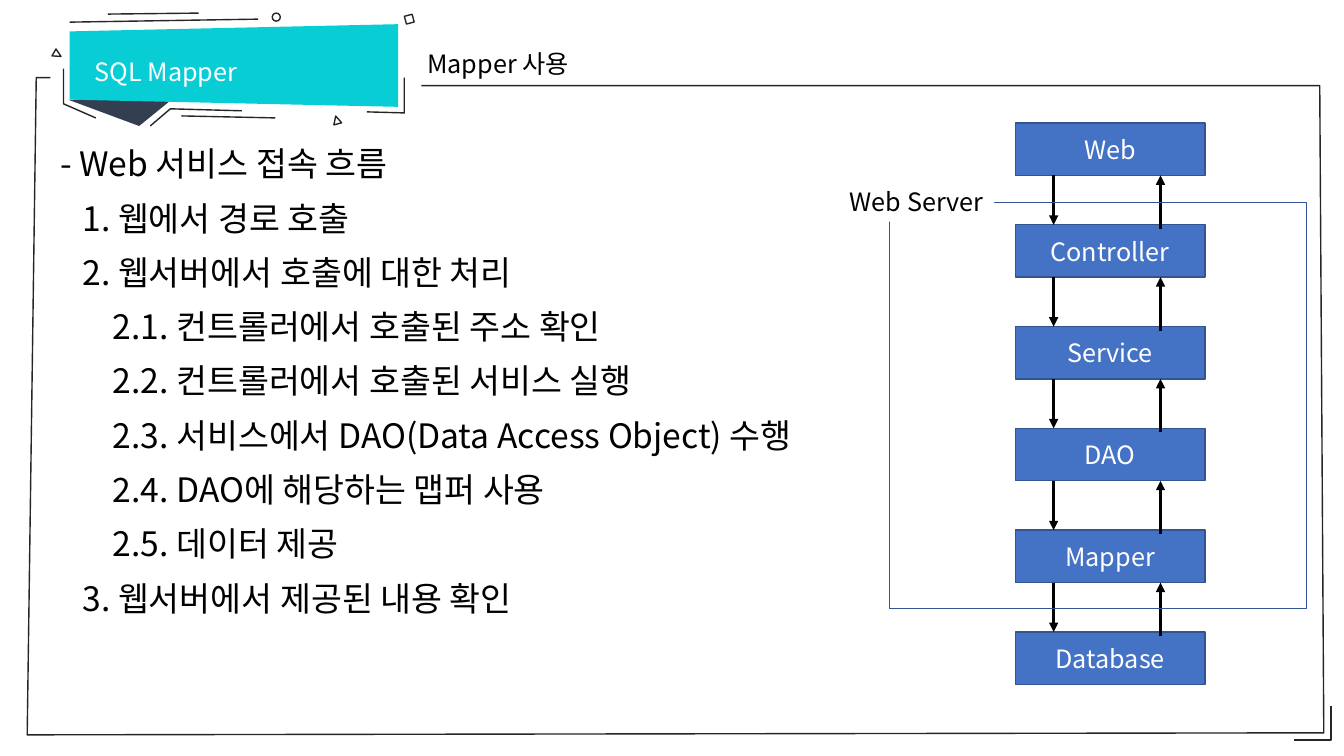
from lxml import etree
from pptx import Presentation
from pptx.dml.color import RGBColor
from pptx.enum.shapes import MSO_CONNECTOR, MSO_SHAPE
from pptx.enum.text import MSO_ANCHOR, MSO_AUTO_SIZE, PP_ALIGN
from pptx.oxml.ns import qn
from pptx.util import Inches, Pt

STRAIGHT = MSO_CONNECTOR.STRAIGHT
RECTANGLE = MSO_SHAPE.RECTANGLE
TRIANGLE = MSO_SHAPE.ISOSCELES_TRIANGLE
TRAPEZOID = MSO_SHAPE.TRAPEZOID
OVAL = MSO_SHAPE.OVAL
MIDDLE = MSO_ANCHOR.MIDDLE
CENTER = PP_ALIGN.CENTER
GROW = MSO_AUTO_SIZE.SHAPE_TO_FIT_TEXT

FONT = "Noto Sans CJK KR"
BLACK, WHITE, INK = "000000", "FFFFFF", "262626"
TEAL, NAVY, BLUE, BLUE_EDGE = "08CDD5", "333F50", "4472C4", "325491"

INDENTS = (0, 0.22, 0.52)
FLOW_TEXT = [
    (0, "- Web 서비스 접속 흐름"),
    (1, "1. 웹에서 경로 호출"),
    (1, "2. 웹서버에서 호출에 대한 처리"),
    (2, "2.1. 컨트롤러에서 호출된 주소 확인"),
    (2, "2.2. 컨트롤러에서 호출된 서비스 실행"),
    (2, "2.3. 서비스에서 DAO(Data Access Object) 수행"),
    (2, "2.4. DAO에 해당하는 맵퍼 사용"),
    (2, "2.5. 데이터 제공"),
    (1, "3. 웹서버에서 제공된 내용 확인"),
]
LAYERS = ["Web", "Controller", "Service", "DAO", "Mapper", "Database"]


def color(value):
    return RGBColor.from_string(value)


def paint(shape, fill=None, line=None):
    shape.shadow.inherit = False
    if fill:
        shape.fill.solid()
        shape.fill.fore_color.rgb = color(fill)
    else:
        shape.fill.background()
    if line:
        shape.line.color.rgb = color(line)
        shape.line.width = Pt(1)
    else:
        shape.line.fill.background()


def add_block(page, kind, box, fill=None, line=None, rotation=0, adjust=None):
    shape = page.shapes.add_shape(kind, *map(Inches, box))
    paint(shape, fill, line)
    shape.rotation = rotation
    if adjust is not None:
        shape.adjustments[0] = adjust
    return shape


def add_outline(page, left, top, points, fill=None):
    """Draw an open path whose points are offsets from left, top."""
    spots = [(Inches(left + x), Inches(top + y)) for x, y in points]
    builder = page.shapes.build_freeform(*spots[0])
    builder.add_line_segments(spots[1:], close=False)
    paint(builder.convert_to_shape(), fill, INK)


def add_line(page, start, end, line=INK, width=1, arrow=False):
    connector = page.shapes.add_connector(
        STRAIGHT, *map(Inches, (*start, *end)))
    connector.line.color.rgb = color(line)
    connector.line.width = Pt(width)
    if arrow:
        outline = connector.line._get_or_add_ln()
        etree.SubElement(outline, qn("a:tailEnd"), type="triangle")
    etree.SubElement(connector._element.spPr, qn("a:effectLst"))


def style(para, size, ink):
    """Set the font for both Latin and Korean letters."""
    para.font.size = Pt(size)
    para.font.name = FONT
    para.font.color.rgb = color(ink)
    etree.SubElement(para.font._rPr, qn("a:ea"), typeface=FONT)


def add_label(page, box, text, ink=BLACK, spacing=None):
    """Add a one-line 18 pt label that does not wrap."""
    shape = page.shapes.add_textbox(*map(Inches, box))
    shape.text_frame.word_wrap = False
    shape.text_frame.auto_size = GROW
    para = shape.text_frame.paragraphs[0]
    para.text = text
    if spacing:
        para.line_spacing = spacing
    style(para, 18, ink)
    return shape


def add_frame(page, left, top):
    add_outline(page, left, top, [(3.91, 0.08), (12.82, 0.08), (12.86, 6.5),
                                  (0, 6.52), (0.09, 0), (0.23, 0)], WHITE)
    add_outline(page, left + 12.56, top + 6.23,
                [(0.37, 0), (0.37, 0.34), (0, 0.34)])


def add_banner(page, left, top):
    """Draw the title ribbon with the small strokes and marks around it."""
    add_block(page, TRIANGLE, (left + 0.15, top + 0.86, 1.02, 0.26),
              NAVY, rotation=180, adjust=0.314)
    add_block(page, TRAPEZOID, (left + 1.38, top - 1.11, 0.82, 3.26),
              TEAL, rotation=270, adjust=0.087)
    for x1, y1, x2, y2 in [(0.16, 0.09, 2.03, 0.06), (0.54, 0.01, 1.44, 0),
                           (1.27, 1.02, 2.2, 1.04)]:
        add_line(page, (left + x1, top + y1), (left + x2, top + y2))
    for kind, x, y, rotation in [(OVAL, 2.17, 0, 0), (TRIANGLE, 2.77, 1.02, 345),
                                 (RECTANGLE, 3.49, 0.02, 345),
                                 (TRIANGLE, 0, 0.37, 120)]:
        add_block(page, kind, (left + x, top + y, 0.08, 0.08),
                  line=INK, rotation=rotation)
    for points in [[(0.1, 0.55), (0.1, 0.9), (0.42, 1.04)],
                   [(0.96, 1.12), (1.16, 0.95), (1.87, 0.97)],
                   [(3.48, 0.64), (3.48, 0.99), (3.11, 0.98)]]:
        add_outline(page, left, top, points)
    add_label(page, (left + 0.31, top + 0.23, 1.63, 0.5),
              "SQL Mapper", WHITE, 1.5)
    add_label(page, (left + 3.61, top + 0.3, 1.69, 0.4), "Mapper 사용")


def add_flow_text(page, box):
    frame = page.shapes.add_textbox(*map(Inches, box)).text_frame
    frame.word_wrap = True
    for index, (level, text) in enumerate(FLOW_TEXT):
        para = frame.add_paragraph() if index else frame.paragraphs[0]
        para.text = text
        para._p.get_or_add_pPr().set("marL", str(Inches(INDENTS[level])))
        if index:
            para.space_before = Pt(10)
        style(para, 24, BLACK)


def add_layer_stack(page, left, top):
    """Stack the layers with call and return arrows and the server border."""
    width, height, pitch = 1.88, 0.52, 1.01
    for index, name in enumerate(LAYERS):
        y = top + index * pitch
        layer = add_block(page, RECTANGLE, (left, y, width, height),
                          BLUE, BLUE_EDGE)
        layer.text_frame.vertical_anchor = MIDDLE
        para = layer.text_frame.paragraphs[0]
        para.text = name
        para.alignment = CENTER
        style(para, 18, WHITE)
    for index in range(len(LAYERS) - 1):
        bottom = top + index * pitch + height
        following = top + (index + 1) * pitch
        call, answer = left + 0.38, left + 1.44
        add_line(page, (call, bottom), (call, following), BLACK, 2.25, True)
        add_line(page, (answer, following + 0.04), (answer, bottom),
                 BLACK, 2.25, True)
    add_block(page, RECTANGLE, (left - 1.25, top + 0.79, 4.14, 4.03),
              line=BLUE_EDGE)
    label = add_label(page, (left - 1.74, top + 0.58, 1.53, 0.4), "Web Server")
    label.fill.solid()
    label.fill.fore_color.rgb = color(WHITE)


def main():
    deck = Presentation()
    deck.slide_width, deck.slide_height = Inches(13.33), Inches(7.5)
    page = deck.slides.add_slide(deck.slide_layouts[6])
    add_frame(page, 0.27, 0.77)
    add_banner(page, 0.53, 0.13)
    add_flow_text(page, (0.5, 1.37, 12.27, 5.79))
    add_layer_stack(page, 10.07, 1.22)
    deck.save("out.pptx")


if __name__ == "__main__":
    main()
